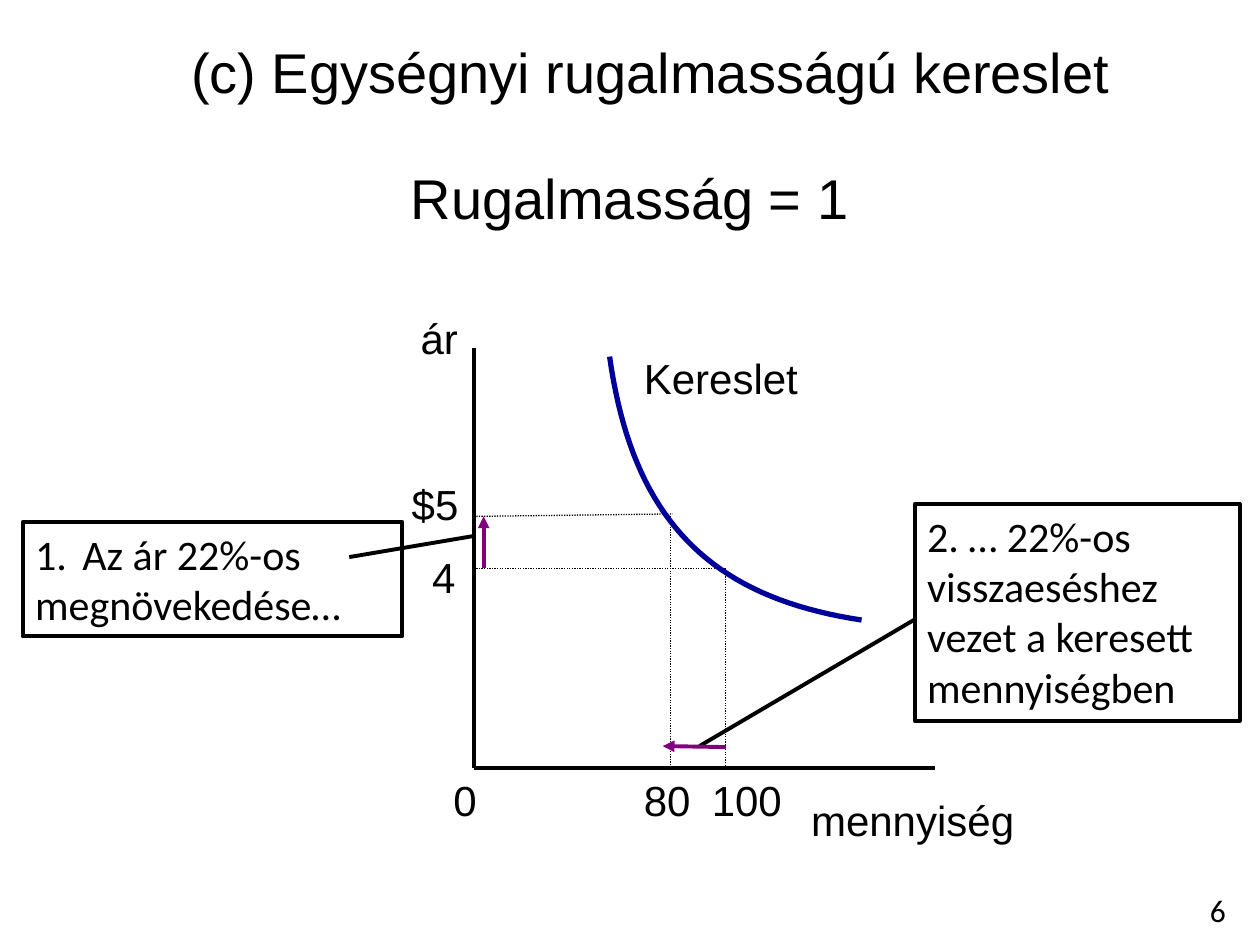
from lxml.etree import SubElement
from pptx import Presentation
from pptx.dml.color import RGBColor
from pptx.enum.dml import MSO_LINE
from pptx.enum.shapes import MSO_CONNECTOR, MSO_SHAPE
from pptx.enum.text import MSO_ANCHOR, PP_ALIGN
from pptx.oxml.ns import qn
from pptx.util import Cm, Pt

BLACK = RGBColor(0x00, 0x00, 0x00)
PURPLE = RGBColor(0x80, 0x00, 0x80)
BLUE = RGBColor(0x00, 0x00, 0x99)

# Diagram positions in cm
ORIGIN_X, ORIGIN_Y = 9.55, 15.49
AXIS_TOP, AXIS_RIGHT = 7.01, 18.85
PRICE_5, PRICE_4 = 10.41, 11.46
QUANTITY_80, QUANTITY_100 = 13.51, 14.63
CURVE = [(12.29, 7.19), (12.75, 10.46), (14.3, 12.04), (17.37, 12.5)]
CURVE_STEPS = 40

# text, left, top, width, height, size, font, alignment
LEFT, CENTER = PP_ALIGN.LEFT, PP_ALIGN.CENTER
HEADINGS = [
    ("(c) Egységnyi rugalmasságú kereslet", 3.53, 0.64, 19.18, 1.63, 32, "Arial", CENTER),
    ("Rugalmasság = 1", 8, 3.18, 9.4, 1.63, 32, "Arial", CENTER),
    ("6", 23.7, 17.83, 1.7, 1.02, 18, "Calibri", CENTER),
]
# text, left, top, width
LABELS = [
    ("ár", 8.23, 6.17, 1.5),
    ("mennyiség", 16.1, 15.9, 4.9),
    ("0", 8.89, ORIGIN_Y, 0.99),
    ("80", 12.73, ORIGIN_Y, 1.47),
    ("100", 14.1, ORIGIN_Y, 1.93),
    ("$5", 8.05, 9.53, 1.47),
    ("4", 8.46, 11, 0.99),
    ("Kereslet", 12.73, 6.99, 3.66),
]
# paragraphs, first one numbered, left, top, width, height
CALLOUTS = [
    (["Az ár 22%-os", "megnövekedése…"], True, 0.46, 10.52, 7.65, 2.31),
    (["2. … 22%-os\vvisszaeséshez\vvezet a keresett\vmennyiségben"], False,
     18.44, 10.16, 6.55, 4.37),
]
# start x, start y, end x, end y
SOLID_LINES = [
    (ORIGIN_X, AXIS_TOP, ORIGIN_X, ORIGIN_Y),
    (ORIGIN_X, ORIGIN_Y, AXIS_RIGHT, ORIGIN_Y),
    (7.04, 11.23, 9.58, 10.8),
    (14.1, 15.04, 18.42, 12.5),
]
GUIDES = [
    (ORIGIN_X, PRICE_5, 13.56, 10.36),
    (ORIGIN_X, PRICE_4, QUANTITY_100, PRICE_4),
    (QUANTITY_80, PRICE_5, QUANTITY_80, ORIGIN_Y),
    (QUANTITY_100, PRICE_4, QUANTITY_100, ORIGIN_Y),
]
ARROWS = [
    (9.75, PRICE_4, 9.75, PRICE_5),
    (QUANTITY_100, 15.06, 13.36, 15.04),
]


def style(paragraph, size, font, alignment=LEFT):
    paragraph.alignment = alignment
    paragraph.font.size = Pt(size)
    paragraph.font.name = font
    paragraph.font.color.rgb = BLACK


def add_text(slide, text, left, top, width, height, size, font, alignment):
    box = slide.shapes.add_textbox(Cm(left), Cm(top), Cm(width), Cm(height))
    box.text_frame.word_wrap = False
    paragraph = box.text_frame.paragraphs[0]
    paragraph.text = text
    style(paragraph, size, font, alignment)


def add_callout(slide, lines, numbered, left, top, width, height):
    shape = slide.shapes.add_shape(MSO_SHAPE.RECTANGLE, Cm(left), Cm(top),
                                   Cm(width), Cm(height))
    shape.shadow.inherit = False
    shape.fill.background()
    shape.line.color.rgb = BLACK
    shape.line.width = Pt(2.25)
    frame = shape.text_frame
    frame.word_wrap = False
    frame.vertical_anchor = MSO_ANCHOR.TOP
    frame.text = "\n".join(lines)
    for paragraph in frame.paragraphs:
        style(paragraph, 24, "Calibri")
    if numbered:
        properties = frame.paragraphs[0]._p.get_or_add_pPr()
        properties.set("marL", str(Cm(0.95)))
        properties.set("indent", str(-Cm(0.95)))
        SubElement(properties, qn("a:buFont"), typeface="+mj-lt")
        SubElement(properties, qn("a:buAutoNum"), type="arabicPeriod")
        # Numbering elements come before the default run properties
        default = properties.find(qn("a:defRPr"))
        if default is not None:
            properties.append(default)


def add_line(slide, ends, color=BLACK, width=2.25, dash=None, arrow=False):
    line = slide.shapes.add_connector(MSO_CONNECTOR.STRAIGHT, *map(Cm, ends))
    line.line.color.rgb = color
    line.line.width = Pt(width)
    if dash:
        line.line.dash_style = dash
    if arrow:
        SubElement(line.line._get_or_add_ln(), qn("a:tailEnd"), type="triangle")
    SubElement(line._element.spPr, qn("a:effectLst"))


def curve_point(t):
    weights = ((1 - t) ** 3, 3 * t * (1 - t) ** 2, 3 * t ** 2 * (1 - t), t ** 3)
    return tuple(Cm(sum(w * point[axis] for w, point in zip(weights, CURVE)))
                 for axis in (0, 1))


def add_demand_curve(slide):
    points = [curve_point(step / CURVE_STEPS) for step in range(CURVE_STEPS + 1)]
    builder = slide.shapes.build_freeform(*points[0])
    builder.add_line_segments(points[1:], close=False)
    curve = builder.convert_to_shape()
    curve.shadow.inherit = False
    curve.fill.background()
    curve.line.color.rgb = BLUE
    curve.line.width = Pt(3)


def main():
    presentation = Presentation()
    presentation.slide_width, presentation.slide_height = Cm(25.4), Cm(19.05)
    slide = presentation.slides.add_slide(presentation.slide_layouts[6])

    # Headings and axis labels
    for heading in HEADINGS:
        add_text(slide, *heading)
    for label in LABELS:
        add_text(slide, *label, 1.27, 24, "Arial", LEFT)

    # Callouts, axes and leaders, guides, arrows
    for callout in CALLOUTS:
        add_callout(slide, *callout)
    for ends in SOLID_LINES:
        add_line(slide, ends)
    for ends in GUIDES:
        add_line(slide, ends, width=0.75, dash=MSO_LINE.ROUND_DOT)
    add_demand_curve(slide)
    for ends in ARROWS:
        add_line(slide, ends, color=PURPLE, arrow=True)

    presentation.save("out.pptx")


if __name__ == "__main__":
    main()
